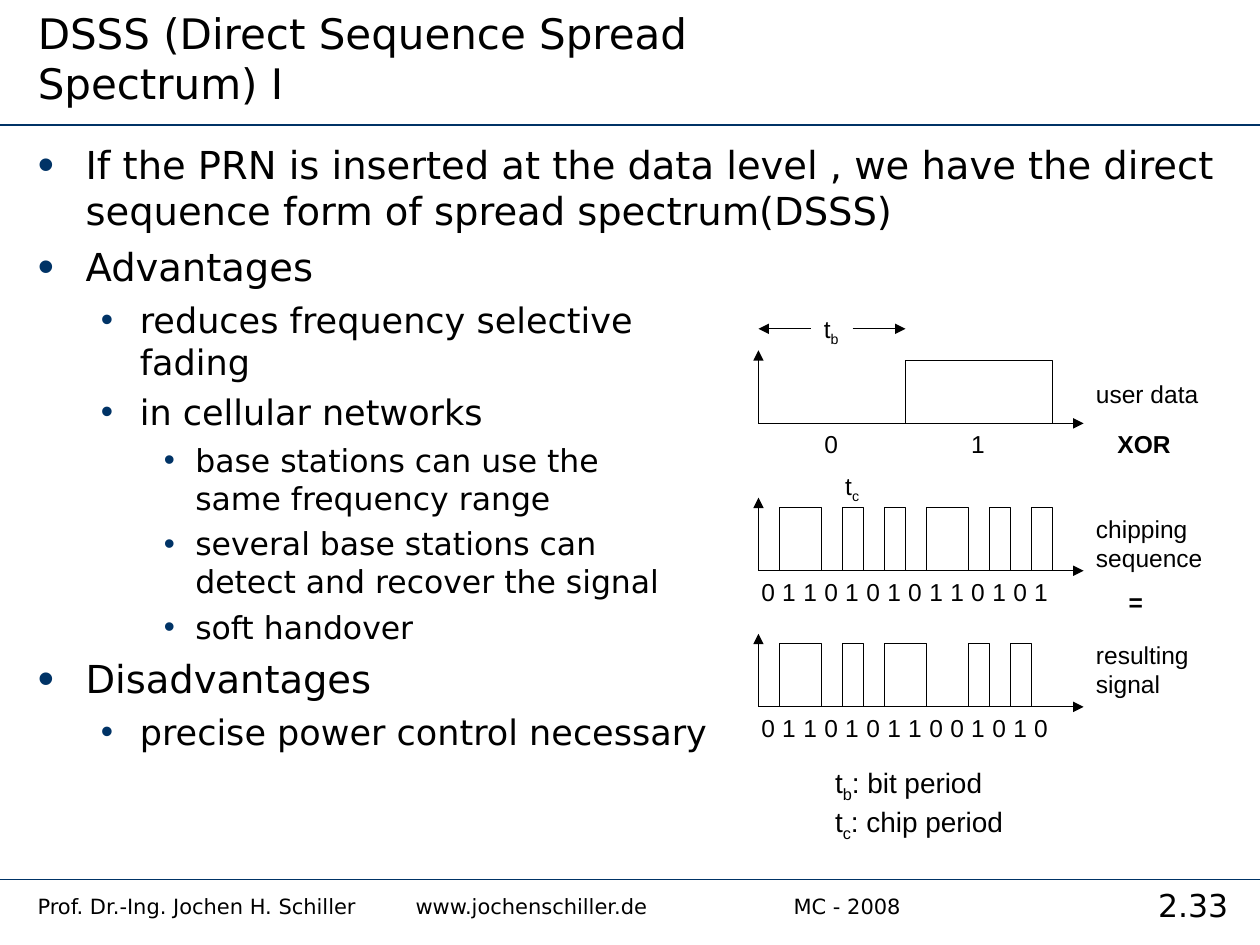
from itertools import groupby

from lxml import etree
from pptx import Presentation
from pptx.dml.color import RGBColor
from pptx.enum import shapes, text
from pptx.oxml import ns
from pptx.util import Inches, Pt

BLACK = RGBColor(0x00, 0x00, 0x00)
NAVY = RGBColor(0x00, 0x33, 0x66)
SLIDE_FONT, DIAGRAM_FONT = "DejaVu Sans", "Arial"

BIT = 7 / 6       # width of one user data bit, inches
CHIP = BIT / 7    # seven chips per bit
SUB = "sub"

# level: (size, space before, left margin, hanging indent, bullet percent)
LEVELS = [(22, 5.5, 0.38, 0.38, 120), (20, 5, 0.81, 0.31, 100), (18, 4.5, 1.25, 0.25, 100)]
POINTS = [
    (0, ["If the PRN is inserted at the data level , we have the direct "
         "sequence form of spread spectrum(DSSS)"]),
    (0, ["Advantages"]),
    (1, ["reduces frequency selective ", "fading"]),
    (1, ["in cellular networks"]),
    (2, ["base stations can use the ", "same frequency range"]),
    (2, ["several base stations can ", "detect and recover the signal"]),
    (2, ["soft handover"]),
    (0, ["Disadvantages"]),
    (1, ["precise power control necessary"]),
]
# bits, bit width, baseline, side label lines, label offset above baseline
SIGNALS = [
    ("01", BIT, 3.36, ["user data"], 0.40),
    ("01101010110101", CHIP, 4.53, ["chipping", "sequence"], 0.50),
    ("01101011001010", CHIP, 5.61, ["resulting", "signal"], 0.58),
]


def place(shape, left, top, width, height):
    shape.left, shape.top = Inches(left), Inches(top)
    shape.width, shape.height = Inches(width), Inches(height)


def add_run(paragraph, wording, size, font=SLIDE_FONT, bold=False, role=None):
    run = paragraph.add_run()
    run.text = wording
    run.font.name, run.font.size, run.font.bold = font, Pt(size), bold
    run.font.color.rgb = BLACK
    if role == SUB:
        run._r.get_or_add_rPr().set("baseline", "-25000")


def add_line(slide, start, end, color=BLACK, width=0.75, arrow=None):
    """Straight line; arrow is None, "headEnd" (at start) or "tailEnd" (at end)."""
    line = slide.shapes.add_connector(
        shapes.MSO_CONNECTOR.STRAIGHT, *(Inches(v) for v in (*start, *end)))
    line.line.color.rgb, line.line.width = color, Pt(width)
    if arrow:
        etree.SubElement(line.line._get_or_add_ln(), ns.qn("a:" + arrow), type="triangle")
    etree.SubElement(line._element.spPr, ns.qn("a:effectLst"))


def add_label(slide, left, top, width, height, lines, size=14, bold=False):
    """Each line is a list of (wording, role) runs."""
    box = slide.shapes.add_textbox(*(Inches(v) for v in (left, top, width, height)))
    frame = box.text_frame
    frame.word_wrap = False
    frame.auto_size = text.MSO_AUTO_SIZE.SHAPE_TO_FIT_TEXT
    for i, runs in enumerate(lines):
        paragraph = frame.add_paragraph() if i else frame.paragraphs[0]
        for wording, role in runs:
            add_run(paragraph, wording, size, DIAGRAM_FONT, bold, role)


def fill_title(slide, left, top, width, height):
    title = slide.shapes.title
    place(title, left, top, width, height)
    frame = title.text_frame
    frame.vertical_anchor = text.MSO_ANCHOR.BOTTOM
    frame.auto_size = text.MSO_AUTO_SIZE.NONE
    frame.paragraphs[0].alignment = text.PP_ALIGN.LEFT
    add_run(frame.paragraphs[0], "DSSS (Direct Sequence Spread Spectrum) I", 24)


def set_bullet(paragraph, margin, hanging, percent):
    props = paragraph._p.get_or_add_pPr()
    props.set("marL", str(Inches(margin)))
    props.set("indent", str(-Inches(hanging)))
    color = etree.SubElement(props, ns.qn("a:buClr"))
    etree.SubElement(color, ns.qn("a:srgbClr"), val=str(NAVY))
    etree.SubElement(props, ns.qn("a:buSzPct"), val=str(percent * 1000))
    etree.SubElement(props, ns.qn("a:buChar"), char="•")


def fill_body(slide, left, top, width, height):
    body = slide.placeholders[1]
    place(body, left, top, width, height)
    frame = body.text_frame
    frame.auto_size = text.MSO_AUTO_SIZE.NONE
    for i, (level, lines) in enumerate(POINTS):
        size, before, margin, hanging, percent = LEVELS[level]
        paragraph = frame.add_paragraph() if i else frame.paragraphs[0]
        paragraph.level = level
        set_bullet(paragraph, margin, hanging, percent)
        paragraph.space_before = Pt(before if i else 0)
        for j, wording in enumerate(lines):
            if j:
                paragraph.add_line_break()
            add_run(paragraph, wording, size)


def add_waveform(slide, bits, step, left, baseline, amplitude=0.5):
    corners, position = [], 0
    for bit, group in groupby(bits):
        start, position = position, position + len(list(group))
        if bit == "1":
            x1, x2 = left + start * step, left + position * step
            high = baseline - amplitude
            corners += [(x1, baseline), (x1, high), (x2, high), (x2, baseline)]
    points = [(Inches(x), Inches(y)) for x, y in corners]
    builder = slide.shapes.build_freeform(*points[0])
    builder.add_line_segments(points[1:], close=False)
    wave = builder.convert_to_shape()
    wave.shadow.inherit = False
    wave.fill.background()
    wave.line.color.rgb, wave.line.width = BLACK, Pt(0.75)


def add_signal(slide, left, baseline, bits, step, names, rise):
    """Axes, waveform, bit values and side label of one signal."""
    origin = (left, baseline)
    add_line(slide, origin, (left, baseline - 0.58), arrow="tailEnd")
    add_line(slide, origin, (left + 2.58, baseline), arrow="tailEnd")
    add_waveform(slide, bits, step, left, baseline)
    for i, bit in enumerate(bits):
        center = left + (i + 0.5) * step
        add_label(slide, center - 0.16, baseline, 0.31, 0.34, [[(bit, None)]])
    add_label(slide, left + 2.58, baseline - rise, 1.1, 0.34 if len(names) == 1 else 0.57,
              [[(name, None)] for name in names])


def add_diagram(slide, left, top):
    for bits, step, baseline, names, rise in SIGNALS:
        add_signal(slide, left, baseline, bits, step, names, rise)
    add_label(slide, left + 2.75, top + 0.92, 0.65, 0.34, [[("XOR", None)]], bold=True)
    add_label(slide, left + 2.84, top + 2.17, 0.31, 0.34, [[("=", None)]], bold=True)

    bit_arrow_y = top + 0.17
    add_line(slide, (left, bit_arrow_y), (left + 0.42, bit_arrow_y), arrow="headEnd")
    add_line(slide, (left + BIT - 0.42, bit_arrow_y), (left + BIT, bit_arrow_y), arrow="tailEnd")
    for subscript, x, y in (("b", 0.42, 0), ("c", 0.59, 1.25)):
        add_label(slide, left + x, top + y, 0.36, 0.37, [[("t", None), (subscript, SUB)]])
    add_label(slide, left + 0.51, top + 3.59, 1.6, 0.71,
              [[("t", None), ("b", SUB), (": bit period", None)],
               [("t", None), ("c", SUB), (": chip period", None)]], size=16)


def add_footer(slide, left, top, width, height):
    box = slide.shapes.add_textbox(*(Inches(v) for v in (left, top, width, height)))
    box.text_frame.word_wrap = True
    credits = box.text_frame.paragraphs[0]
    tabs = etree.SubElement(credits._p.get_or_add_pPr(), ns.qn("a:tabLst"))
    for stop in (3, 5, 6):
        etree.SubElement(tabs, ns.qn("a:tab"), pos=str(Inches(stop)), algn="l")
    add_run(credits, "Prof. Dr.-Ing. Jochen H. Schiller\twww.jochenschiller.de\t\tMC - 2008", 12)

    number = slide.shapes.add_textbox(
        Inches(left + width), Inches(top - 0.06), Inches(1.06), Inches(0.44))
    number.text_frame.word_wrap = True
    page = number.text_frame.paragraphs[0]
    page.alignment = text.PP_ALIGN.CENTER
    add_run(page, "2.33", 18)


def main():
    deck = Presentation()
    deck.slide_width, deck.slide_height = Inches(10), Inches(7.5)
    slide = deck.slides.add_slide(deck.slide_layouts[1])
    for rule_y in (0.99, 6.98):
        add_line(slide, (0, rule_y), (10, rule_y), NAVY, 1)
    fill_title(slide, 0.2, 0, 6.61, 0.91)
    fill_body(slide, 0.2, 1.07, 9.61, 5.85)
    add_diagram(slide, 6.02, 2.44)
    add_footer(slide, 0.2, 7.04, 8.74, 0.33)
    deck.save("out.pptx")


if __name__ == "__main__":
    main()
